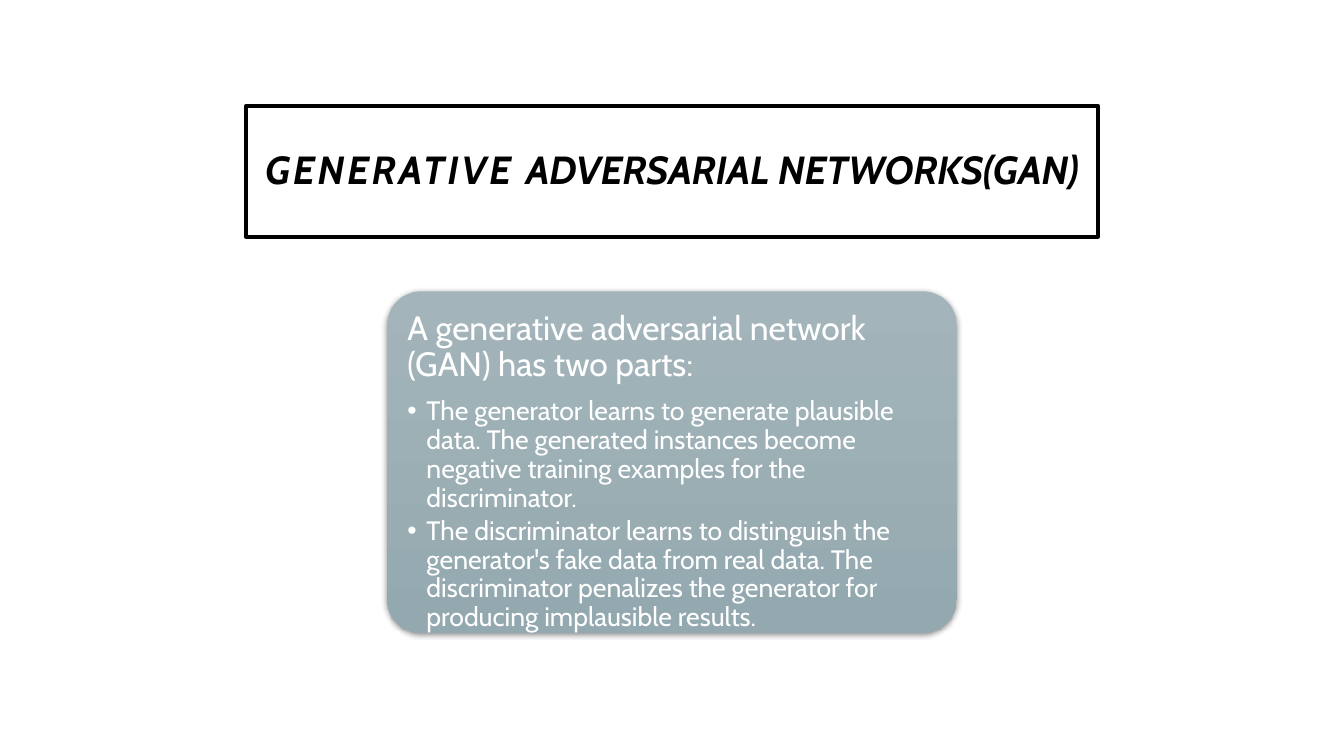
from lxml.etree import SubElement
from pptx import Presentation
from pptx.dml.color import RGBColor
from pptx.enum.shapes import MSO_SHAPE
from pptx.enum.text import MSO_ANCHOR as ANCHOR, MSO_AUTO_SIZE as AUTO_SIZE, PP_ALIGN as ALIGN
from pptx.oxml import parse_xml
from pptx.oxml.ns import nsdecls, qn
from pptx.util import Inches, Pt

SLIDE_W, SLIDE_H = Inches(13.33), Inches(7.5)
FONT = "Cabin"
CARD_TOP, CARD_WIDTH, CARD_HEIGHT = 38.53, 42.39, 45.2
CARD_PADDING = Inches(0.1)
HANGING = Inches(0.19)

HEADING = [("GENERATIVE ", 200), ("ADVERSARIAL NETWORKS(GAN)", -10)]
INTRO = "A generative adversarial network (GAN) has two parts:"
PARTS = [
    "The generator learns to generate plausible data. The generated instances "
    "become negative training examples for the discriminator.",
    "The discriminator learns to distinguish the generator's fake data from real data. "
    "The discriminator penalizes the generator for producing implausible results.",
]


def color(value):
    return RGBColor.from_string(value)


def place_centred(shape, top, width, height, padding=0):
    shape.width = int(SLIDE_W * width / 100) - 2 * padding
    shape.height = int(SLIDE_H * height / 100) - 2 * padding
    shape.left = (SLIDE_W - shape.width) // 2
    shape.top = int(SLIDE_H * top / 100) + padding


def set_frame(frame, anchor, side, edge):
    frame.word_wrap = True
    frame.auto_size = AUTO_SIZE.NONE
    frame.vertical_anchor = anchor
    frame.margin_left = frame.margin_right = Inches(side)
    frame.margin_top = frame.margin_bottom = Inches(edge)


def style_font(font, size, hue):
    font.name = FONT
    font.size = Pt(size)
    font.color.rgb = color(hue)


def set_spacing(paragraph, after=0):
    paragraph.line_spacing = 0.9
    paragraph.space_before = Pt(0)
    paragraph.space_after = Pt(after)


def write_heading(title):
    place_centred(title, 14, 63.4, 17.33)
    title.line.color.rgb = color("000000")
    title.line.width = Pt(2.5)
    set_frame(title.text_frame, ANCHOR.MIDDLE, 0.07, 0.04)
    paragraph = title.text_frame.paragraphs[0]
    paragraph.alignment = ALIGN.CENTER
    set_spacing(paragraph)
    for words, tracking in HEADING:
        run = paragraph.add_run()
        run.text = words
        style_font(run.font, 28, "000000")
        run.font.bold = run.font.italic = True
        run.font._element.set("spc", str(tracking))


def add_card(slide):
    card = slide.shapes.add_shape(MSO_SHAPE.ROUNDED_RECTANGLE, 0, 0, 0, 0)
    place_centred(card, CARD_TOP, CARD_WIDTH, CARD_HEIGHT)
    card.adjustments[0] = 0.1
    card.line.fill.background()
    card.fill.gradient()
    card.fill.gradient_angle = 270
    for stop, hue in zip(card.fill.gradient_stops, ("A3B5BB", "93A9AF")):
        stop.color.rgb = color(hue)
        stop.position = 0 if hue == "A3B5BB" else 1
    card._element.spPr.append(parse_xml(
        f'<a:effectLst {nsdecls("a")}>'
        f'<a:outerShdw blurRad="{Pt(4.4)}" dist="{Pt(1.2)}" dir="5400000" rotWithShape="0">'
        '<a:srgbClr val="000000"><a:alpha val="45000"/></a:srgbClr>'
        '</a:outerShdw></a:effectLst>'))
    return card


def write_paragraph(paragraph, words, size, after, bullet=None):
    paragraph.text = words
    paragraph.level = 1 if bullet else 0
    paragraph.alignment = ALIGN.LEFT
    set_spacing(paragraph, after)
    indent = HANGING if bullet else 0
    properties = paragraph._p.get_or_add_pPr()
    properties.set("marL", str(indent))
    properties.set("indent", str(-indent))
    if bullet:
        SubElement(properties, qn("a:buChar")).set("char", bullet)
    else:
        SubElement(properties, qn("a:buNone"))
    style_font(paragraph.runs[0].font, size, "FFFFFF")


def write_parts(body):
    place_centred(body, CARD_TOP, CARD_WIDTH, CARD_HEIGHT, CARD_PADDING)
    frame = body.text_frame
    set_frame(frame, ANCHOR.TOP, 0.1, 0.1)
    write_paragraph(frame.paragraphs[0], INTRO, 24, 10)
    for part in PARTS:
        write_paragraph(frame.add_paragraph(), part, 19, 3.3, "•")


def main():
    deck = Presentation()
    deck.slide_width, deck.slide_height = SLIDE_W, SLIDE_H
    slide = deck.slides.add_slide(deck.slide_layouts[1])
    body = slide.placeholders[1]
    write_heading(slide.shapes.title)
    card = add_card(slide)
    body._element.addprevious(card._element)
    write_parts(body)
    deck.save("out.pptx")


if __name__ == "__main__":
    main()
